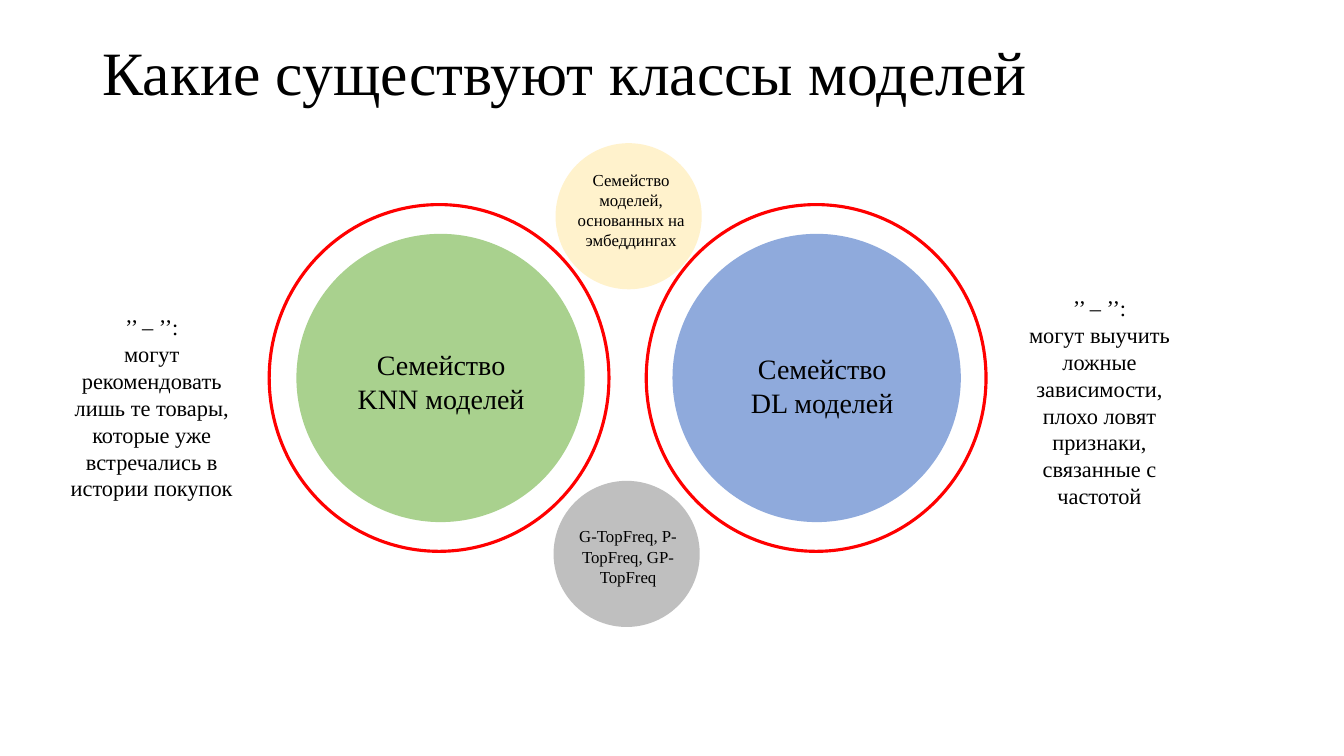
from dataclasses import dataclass
from typing import Optional

from pptx import Presentation
from pptx.dml.color import RGBColor
from pptx.enum import shapes, text
from pptx.slide import Slide
from pptx.util import Inches, Pt


@dataclass(frozen=True)
class Theme:
    font: str = "Times New Roman"
    ink: str = "000000"
    green: str = "A9D18E"
    blue: str = "8FAADC"
    cream: str = "FFF2CC"
    gray: str = "BFBFBF"
    red: str = "FF0000"
    title: float = 44
    large: float = 20
    note: float = 16
    small: float = 12
    ring: float = 2.25


@dataclass(frozen=True)
class Disc:
    left: float
    top: float
    width: float
    height: float
    fill: Optional[str] = None
    line: Optional[str] = None


@dataclass(frozen=True)
class Label:
    left: float
    top: float
    width: float
    height: float
    lines: tuple[str, ...]
    size: float
    align: text.PP_ALIGN = text.PP_ALIGN.CENTER
    anchor: text.MSO_ANCHOR = text.MSO_ANCHOR.TOP
    pitch: float = 1.0


THEME = Theme()
BIG = 2.86
SMALL = 1.45
RING = (3.37, 3.44)
MINUS = "’’ – ’’:"

DISCS = (
    Disc(6.67, 2.32, BIG, BIG, fill=THEME.blue),
    Disc(2.94, 2.32, BIG, BIG, fill=THEME.green),
    Disc(5.51, 1.42, SMALL, SMALL, fill=THEME.cream),
    Disc(5.49, 4.77, SMALL, SMALL, fill=THEME.gray),
    Disc(6.41, 2.03, *RING, line=THEME.red),
    Disc(2.67, 2.03, *RING, line=THEME.red),
)

LABELS = (
    Label(0.92, 0.02, 11.5, 1.45, ("Какие существуют классы моделей",), THEME.title,
          text.PP_ALIGN.LEFT, text.MSO_ANCHOR.MIDDLE, 0.9),
    Label(7.21, 3.44, 1.89, 0.77, ("Семейство DL моделей",), THEME.large),
    Label(3.4, 3.4, 1.95, 0.77, ("Семейство KNN моделей",), THEME.large),
    Label(5.58, 1.63, 1.36, 0.91,
          ("Семейство моделей, основанных на эмбеддингах",), THEME.small),
    Label(5.55, 5.17, 1.36, 0.71, ("G-TopFreq, P-TopFreq, GP-TopFreq",), THEME.small),
    Label(0.53, 3.06, 1.95, 1.99,
          (MINUS, "могут рекомендовать лишь те товары, которые уже "
                  "встречались в истории покупок"), THEME.note),
    Label(9.93, 2.87, 1.95, 2.26,
          (MINUS, "могут выучить ложные зависимости, плохо ловят "
                  "признаки, связанные с частотой"), THEME.note),
)


def draw_disc(slide: Slide, disc: Disc) -> None:
    oval = slide.shapes.add_shape(
        shapes.MSO_SHAPE.OVAL, Inches(disc.left), Inches(disc.top),
        Inches(disc.width), Inches(disc.height))
    oval.shadow.inherit = False
    if disc.fill:
        oval.fill.solid()
        oval.fill.fore_color.rgb = RGBColor.from_string(disc.fill)
    else:
        oval.fill.background()
    if disc.line:
        oval.line.color.rgb = RGBColor.from_string(disc.line)
        oval.line.width = Pt(THEME.ring)
    else:
        oval.line.fill.background()


def write_label(slide: Slide, label: Label, box=None) -> None:
    place = (Inches(label.left), Inches(label.top),
             Inches(label.width), Inches(label.height))
    if box is None:
        box = slide.shapes.add_textbox(*place)
    else:
        box.left, box.top, box.width, box.height = place
    frame = box.text_frame
    frame.word_wrap = True
    frame.vertical_anchor = label.anchor
    frame.text = "\n".join(label.lines)
    for para in frame.paragraphs:
        para.alignment = label.align
        para.line_spacing = label.pitch
        para.font.name = THEME.font
        para.font.size = Pt(label.size)
        para.font.color.rgb = RGBColor.from_string(THEME.ink)


def main() -> None:
    deck = Presentation()
    deck.slide_width = Inches(13.33)
    deck.slide_height = Inches(7.5)
    slide = deck.slides.add_slide(deck.slide_layouts[6])
    for disc in DISCS:
        draw_disc(slide, disc)
    for label in LABELS:
        write_label(slide, label)
    deck.save("out.pptx")


if __name__ == "__main__":
    main()
